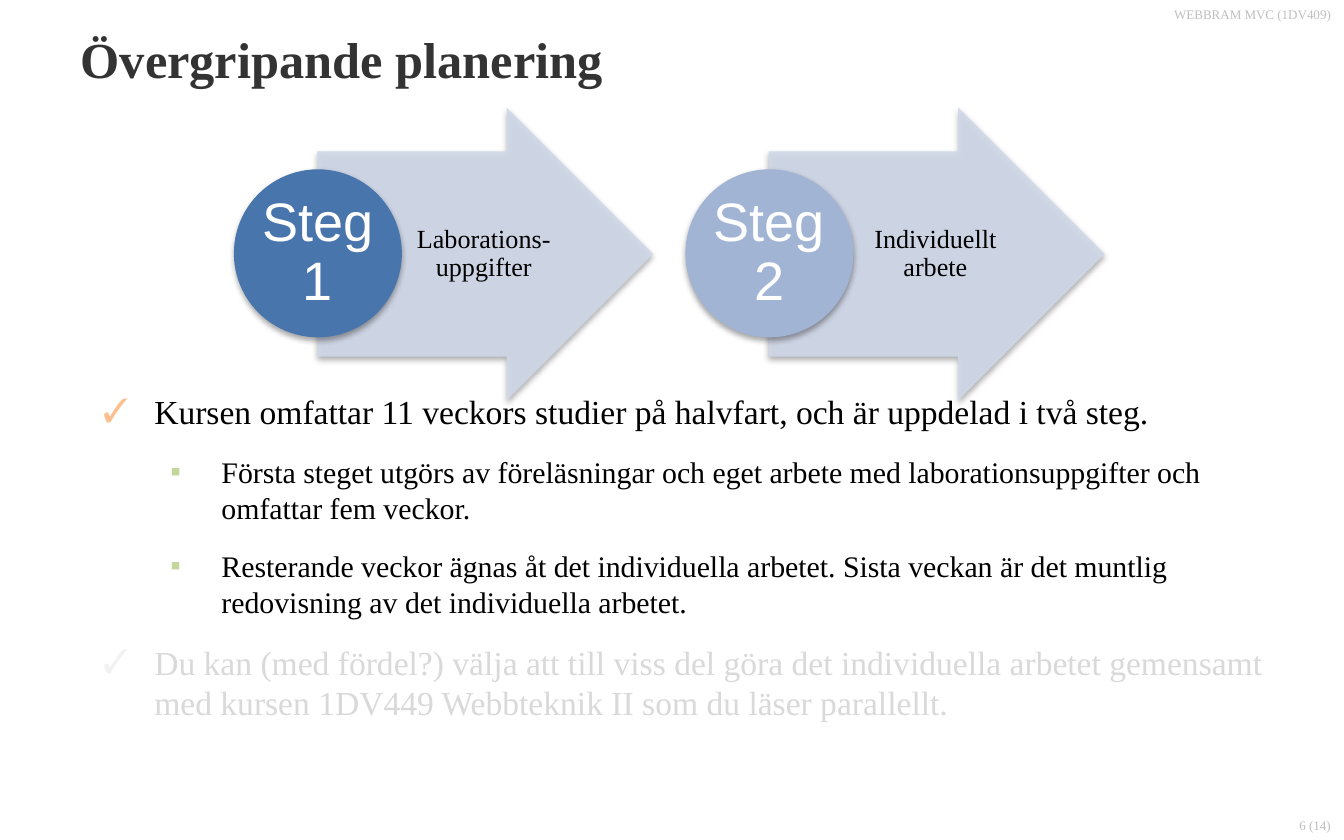
from dataclasses import dataclass

import lxml.etree
import pptx
import pptx.dml.color
import pptx.enum.shapes
import pptx.enum.text
import pptx.oxml
import pptx.oxml.ns
import pptx.util

PX = 9144  # EMU: 100 px to the inch
ALIGN = pptx.enum.text.PP_ALIGN
ANCHOR = pptx.enum.text.MSO_ANCHOR
SHAPE = pptx.enum.shapes.MSO_SHAPE


@dataclass(frozen=True)
class Theme:
    serif: str = "Times New Roman"
    sans: str = "Arial"
    title: str = "333333"
    text: str = "000000"
    muted: str = "D9D9D9"
    footer: str = "BFBFBF"
    arrow: str = "D0D8E8"
    on_circle: str = "FFFFFF"
    circles: tuple = ("4875AC", "A2B4D4")
    check: str = "FAC090"
    muted_check: str = "F2F2F2"
    square: str = "C3D69B"
    title_pt: int = 27
    footer_pt: int = 7
    step_pt: int = 29
    label_pt: int = 14
    body_pt: tuple = (18, 16)


THEME = Theme()

STEPS = [("Steg 1", "Laborations-uppgifter"), ("Steg 2", "Individuellt arbete")]
POINTS = [  # level, text, text colour, bullet colour
    (0, "Kursen omfattar 11 veckors studier på halvfart, och är uppdelad i två steg.",
     THEME.text, THEME.check),
    (1, "Första steget utgörs av föreläsningar och eget arbete med laborationsuppgifter "
        "och omfattar fem veckor.", THEME.text, THEME.square),
    (1, "Resterande veckor ägnas åt det individuella arbetet. Sista veckan är det muntlig "
        "redovisning av det individuella arbetet.", THEME.text, THEME.square),
    (0, "Du kan (med fördel?) välja att till viss del göra det individuella arbetet gemensamt "
        "med kursen 1DV449 Webbteknik II som du läser parallellt.",
     THEME.muted, THEME.muted_check),
]


def emu(*lengths):
    return [n * PX for n in lengths]


def rgb(color):
    return pptx.dml.color.RGBColor.from_string(color)


def format_run(r, size, color, font=THEME.serif, bold=False):
    r.font.size = pptx.util.Pt(size)
    r.font.name = font
    r.font.bold = bold
    r.font.color.rgb = rgb(color)


def set_frame(tf, anchor, insets):
    tf.word_wrap = True
    tf.vertical_anchor = anchor
    tf.margin_left, tf.margin_top, tf.margin_right, tf.margin_bottom = emu(*insets)


def add_label(shapes, box, text, size, color, font=THEME.serif, align=ALIGN.CENTER,
              anchor=ANCHOR.MIDDLE, insets=(2, 2, 2, 2), line_spacing=0.9):
    tf = shapes.add_textbox(*emu(*box)).text_frame
    set_frame(tf, anchor, insets)
    p = tf.paragraphs[0]
    p.text = text
    p.alignment = align
    p.line_spacing = line_spacing
    format_run(p.runs[0], size, color, font)


def add_shadowed(shapes, kind, box, color, opacity=100):
    sp = shapes.add_shape(kind, *emu(*box))
    sp.fill.solid()
    sp.fill.fore_color.rgb = rgb(color)
    sp.line.fill.background()
    sp.shadow.inherit = False
    spPr = sp._element.spPr
    if opacity < 100:
        srgb = spPr.find("a:solidFill/a:srgbClr", spPr.nsmap)
        lxml.etree.SubElement(srgb, pptx.oxml.ns.qn("a:alpha"), val=str(opacity * 1000))
    effects = spPr.find(pptx.oxml.ns.qn("a:effectLst"))
    effects.append(pptx.oxml.parse_xml(
        f'<a:outerShdw {pptx.oxml.ns.nsdecls("a")} blurRad="40000" dist="23000" '
        'dir="5400000" rotWithShape="0"><a:srgbClr val="000000">'
        '<a:alpha val="35000"/></a:srgbClr></a:outerShdw>'))
    return sp


def add_title(s, box, text):
    title = s.shapes.title
    title.left, title.top, title.width, title.height = emu(*box)
    tf = title.text_frame
    set_frame(tf, ANCHOR.TOP, (10, 10, 10, 10))
    tf.text = text
    tf.paragraphs[0].alignment = ALIGN.LEFT
    format_run(tf.paragraphs[0].runs[0], THEME.title_pt, THEME.title, bold=True)


def add_corner_note(s, box, text, anchor):
    add_label(s.shapes, box, text, THEME.footer_pt, THEME.footer, align=ALIGN.RIGHT,
              anchor=anchor, insets=(10, 5, 10, 5), line_spacing=1.0)


def add_step(shapes, box, name, task, color):
    """Arrow whose tail starts at the centre of a named circle."""
    x, y, w, h = box
    d = 125
    circle_top = y + (h - d) // 2
    inset = 18
    arrow = add_shadowed(shapes, SHAPE.RIGHT_ARROW, (x + d // 2, y, w - d // 2, h),
                         THEME.arrow, opacity=90)
    arrow.adjustments[0], arrow.adjustments[1] = 0.7, 0.5
    add_label(shapes, (x + d - 1, y + 33, 122, h - 2 * 33), task,
              THEME.label_pt, THEME.text, insets=(4, 1, 2, 1))
    add_shadowed(shapes, SHAPE.OVAL, (x, circle_top, d, d), color)
    add_label(shapes, (x + inset, circle_top + inset, d - 2 * inset, d - 2 * inset),
              name, THEME.step_pt, THEME.on_circle, THEME.sans)


def add_process(s, box):
    x, y, w, h = box
    gap = 24
    step_w = (w - gap * (len(STEPS) - 1)) // len(STEPS)
    group = s.shapes.add_group_shape()
    for i, ((name, task), color) in enumerate(zip(STEPS, THEME.circles)):
        add_step(group.shapes, (x + i * (step_w + gap), y, step_w, h), name, task, color)


def set_bullet(p, level, color):
    pPr = p._p.get_or_add_pPr()
    pPr.set("marL", str((38 + 50 * level) * PX))
    pPr.set("indent", str(-38 * PX))
    bu_color = lxml.etree.SubElement(pPr, pptx.oxml.ns.qn("a:buClr"))
    lxml.etree.SubElement(bu_color, pptx.oxml.ns.qn("a:srgbClr"), val=color)
    lxml.etree.SubElement(pPr, pptx.oxml.ns.qn("a:buFont"), typeface=THEME.serif)
    lxml.etree.SubElement(pPr, pptx.oxml.ns.qn("a:buChar"), char="✓▪"[level])


def add_points(s, box):
    tf = s.shapes.add_textbox(*emu(*box)).text_frame
    set_frame(tf, ANCHOR.TOP, (10, 5, 10, 5))
    for i, (level, text, color, bullet_color) in enumerate(POINTS):
        p = tf.add_paragraph() if i else tf.paragraphs[0]
        p.text = text
        p.level = level
        p.space_before = pptx.util.Pt(12)
        set_bullet(p, level, bullet_color)
        format_run(p.runs[0], THEME.body_pt[level], color)


def main():
    prs = pptx.Presentation()
    prs.slide_width, prs.slide_height = emu(1000, 625)
    s = prs.slides.add_slide(prs.slide_layouts[5])
    add_corner_note(s, (833, 603, 167, 22), "6 (14)", ANCHOR.BOTTOM)
    add_corner_note(s, (542, 0, 458, 34), "WEBBRAM MVC (1DV409)", ANCHOR.TOP)
    add_title(s, (50, 11, 900, 65), "Övergripande planering")
    add_process(s, (174, 80, 648, 218))
    add_points(s, (67, 286, 900, 305))
    prs.save("out.pptx")


if __name__ == "__main__":
    main()
